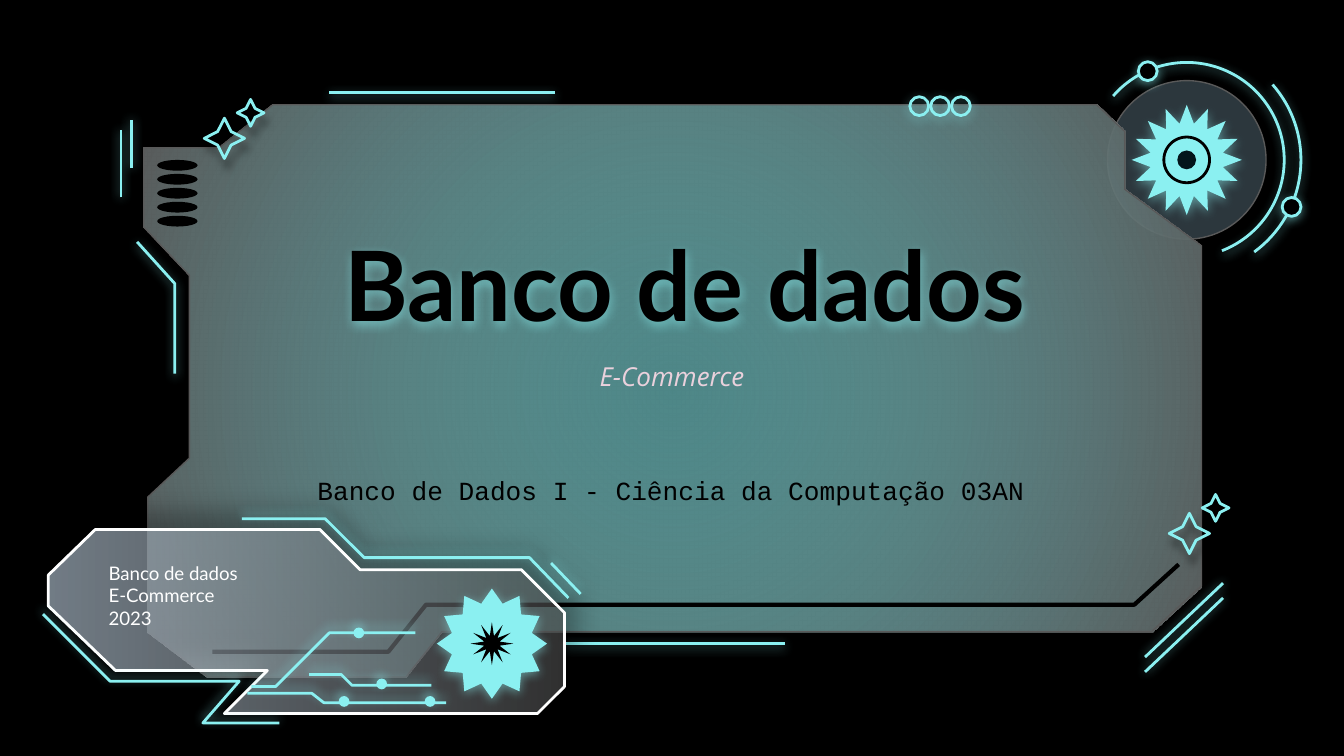
from lxml import etree
from pptx import Presentation
from pptx import util as u
from pptx.dml.color import RGBColor
from pptx.enum import shapes, text
from pptx.oxml.ns import qn


class Theme:
    """Colours, type sizes, line widths and shadows."""
    cyan, black, white = "8BF0F1", "000000", "FFFFFF"
    grey, slate, ink = "595959", "536672", "03151B"
    ice, pink = "CFE2F3", "EAD1DC"
    title, body, small = 52, 14, 10
    thin, normal, thick = 0.75, 1.5, 2.25
    # colour, blur, distance, direction
    glow = (cyan, 5.6, 1.5, 90)
    halo = (cyan, 5.6, 0, 0)
    lift = (cyan, 5.6, 2.2, 256)
    drop = (black, 4.5, 5.2, 71)
    deep = (black, 13.5, 9.8, 299)


T = Theme
M = shapes.MSO_SHAPE

# Outlines, in inches
PANEL = [(1.1, 4.7), (1.1, 3.7), (1.41, 3.41), (1.41, 2.05), (1.07, 1.69), (1.07, 1.1),
         (1.63, 1.1), (2.03, 0.78), (8.16, 0.78), (8.37, 0.98), (8.37, 1.41),
         (8.94, 1.83), (8.94, 4.36), (8.57, 4.7), (3.29, 4.7), (3.02, 5.04), (1.55, 5.04)]
PANEL_TRACE = [(8.77, 4.2), (8.44, 4.5), (3.17, 4.5), (2.89, 4.85), (1.58, 4.85)]
SIDE_TRACE = [(1.02, 1.8), (1.3, 2.11), (1.3, 2.78)]
BADGE = [(0.36, 4.51), (0.36, 4.28), (0.71, 3.94), (2.38, 3.94), (2.68, 4.24),
         (3.88, 4.24), (4.2, 4.56), (4.2, 5.11), (4, 5.31), (1.67, 5.31),
         (1.99, 4.99), (0.86, 4.99)]
BADGE_EDGES = [
    [(0.32, 4.57), (0.82, 5.07), (1.78, 5.07), (1.51, 5.38), (2.08, 5.38)],
    [(1.8, 3.86), (2.42, 3.86), (2.71, 4.15), (3.94, 4.15), (4.23, 4.45)],
    [(4.32, 4.42), (4.1, 4.19)],
]
CIRCUITS = [
    [(1.84, 5.16), (2.32, 5.16), (2.41, 5.23), (3.32, 5.23)],
    [(2.3, 5.02), (2.54, 5.02), (2.62, 5.1), (3.21, 5.1)],
    [(1.87, 5.11), (2.05, 5.11), (2.45, 4.71), (3.09, 4.71)],
]
NODES = [(2.84, 5.09), (2.56, 5.22), (3.2, 5.22), (2.67, 4.71)]
SPARKLES = [(1.67, 1.03), (8.85, 3.97)]
# start, end, shadow
LEFT_LINES = [((0.98, 1.25), (0.98, 0.89), T.halo), ((0.9, 1.47), (0.9, 0.97), T.halo)]
OTHER_LINES = [((2.45, 0.69), (4.13, 0.69), T.glow),
               ((9.1, 4.34), (8.52, 4.89), T.halo), ((9.1, 4.45), (8.52, 5), T.halo),
               ((4.2, 4.79), (5.84, 4.79), T.glow)]
DIAL = (8.83, 1.19)
GEAR = (3.66, 4.79)


def inch(value):
    """Turn inches into a Cm length."""
    return u.Cm(value * 2.54)


def add_alpha(color, percent):
    """Make a colour element partly transparent."""
    etree.SubElement(color, qn("a:alpha")).set("val", str(percent * 1000))


def set_shadow(s, shadow):
    """Give a shape one outer shadow, or none at all."""
    effects = etree.SubElement(s._element.spPr, qn("a:effectLst"))
    if shadow:
        color, blur, dist, angle = shadow
        outer = etree.SubElement(effects, qn("a:outerShdw"), blurRad=str(u.Pt(blur)),
                                 dist=str(u.Pt(dist)), dir=str(angle * 60000),
                                 algn="bl", rotWithShape="0")
        add_alpha(etree.SubElement(outer, qn("a:srgbClr"), val=color), 50)


def set_gradient(s, stops, radial):
    """Fill with two (colour, opacity) stops, left to right or from the centre."""
    s.fill.gradient()
    grad = s._element.spPr.find(qn("a:gradFill"))
    for stop, (color, alpha) in zip(s.fill.gradient_stops, stops):
        stop.color.rgb = RGBColor.from_string(color)
    for node, (color, alpha) in zip(grad.iter(qn("a:srgbClr")), stops):
        add_alpha(node, alpha)
    lin = grad.find(qn("a:lin"))
    lin.set("ang", "0")
    if radial:
        way = etree.Element(qn("a:path"), path="circle")
        etree.SubElement(way, qn("a:fillToRect"), l="50000", t="50000", r="50000", b="50000")
        grad.replace(lin, way)


def style(s, fill=None, alpha=None, grad=None, radial=False, line=None, width=T.normal,
          shadow=None):
    """Set fill, outline and shadow of a shape."""
    if grad:
        set_gradient(s, grad, radial)
    elif fill:
        s.fill.solid()
        s.fill.fore_color.rgb = RGBColor.from_string(fill)
        if alpha:
            add_alpha(s._element.spPr.find(qn("a:solidFill"))[0], alpha)
    else:
        s.fill.background()
    if line:
        s.line.color.rgb = RGBColor.from_string(line)
        s.line.width = u.Pt(width)
    else:
        s.line.fill.background()
    set_shadow(s, shadow)


def preset(kind, center, w, h=None, adj=(), **look):
    """Add a preset shape around its centre."""
    h = h or w
    s = slide.shapes.add_shape(kind, inch(center[0] - w / 2), inch(center[1] - h / 2),
                               inch(w), inch(h))
    for i, value in enumerate(adj):
        s.adjustments[i] = value
    style(s, **look)


def outline(points, close=False, **look):
    """Add a freeform through the points."""
    pts = [(inch(x), inch(y)) for x, y in points]
    builder = slide.shapes.build_freeform(*pts[0])
    builder.add_line_segments(pts[1:], close=close)
    style(builder.convert_to_shape(), **look)


def neon(start, end, shadow):
    """Add a straight glowing line."""
    s = slide.shapes.add_connector(shapes.MSO_CONNECTOR.STRAIGHT,
                                   *[inch(v) for v in (*start, *end)])
    s.line.color.rgb = RGBColor.from_string(T.cyan)
    s.line.width = u.Pt(T.normal)
    set_shadow(s, shadow)


def write(lines, box, size, font, color, bold=False, italic=False, center=True,
          spacing=None, inset=0.1, shadow=None):
    """Add a text box with one paragraph per line."""
    s = slide.shapes.add_textbox(*[inch(v) for v in box])
    tf = s.text_frame
    tf.word_wrap = True
    tf.margin_top = tf.margin_bottom = inch(inset)
    tf.margin_left = tf.margin_right = inch(0.1)
    for i, line in enumerate(lines):
        p = tf.paragraphs[0] if i == 0 else tf.add_paragraph()
        p.alignment = text.PP_ALIGN.CENTER if center else text.PP_ALIGN.LEFT
        p.line_spacing = spacing
        r = p.add_run()
        r.text = line
        r.font.size, r.font.name, r.font.bold, r.font.italic = u.Pt(size), font, bold, italic
        r.font.color.rgb = RGBColor.from_string(color)
    if shadow:
        set_shadow(s, shadow)


prs = Presentation()
prs.slide_width, prs.slide_height = u.Cm(25.4), u.Cm(14.29)
slide = prs.slides.add_slide(prs.slide_layouts[6])
slide.background.fill.solid()
slide.background.fill.fore_color.rgb = RGBColor.from_string(T.black)

neon_line = dict(line=T.cyan, shadow=T.glow)

# Dial
preset(M.ARC, DIAL, 1.7, adj=(191.25, 32.26), **neon_line)
preset(M.OVAL, DIAL, 1.18, fill=T.slate, alpha=54, line=T.grey, width=T.thin)
preset(M.ARC, DIAL, 1.45, adj=(132.56, 41.29), **neon_line)
preset(M.STAR_16_POINT, DIAL, 0.82, adj=(0.334,), fill=T.cyan, shadow=T.glow)
preset(M.OVAL, DIAL, 0.14, fill=T.ink)
preset(M.OVAL, DIAL, 0.34, line=T.black)
for moon in [(8.54, 0.53), (9.61, 1.54)]:
    preset(M.OVAL, moon, 0.14, fill=T.black, **neon_line)

# Main panel
outline(PANEL, close=True, grad=[(T.cyan, 56), (T.grey, 100)], radial=True,
        line=T.grey, width=T.thin)
outline(PANEL_TRACE, line=T.black, width=T.thick)
for i in range(5):
    preset(M.OVAL, (1.32, 1.23 + i * 0.104), 0.3, 0.08, fill=T.black)
outline(SIDE_TRACE, **neon_line)
for x, y in SPARKLES:
    for center, size in [((x, y), 0.3), ((x + 0.195, y - 0.19), 0.2)]:
        preset(M.STAR_4_POINT, center, size, adj=(0.236,), line=T.cyan, shadow=T.drop)
for i in range(3):
    preset(M.OVAL, (6.84 + i * 0.155, 0.79), 0.14, **neon_line)
for start, end, shadow in LEFT_LINES + OTHER_LINES:
    neon(start, end, shadow)

# Badge
outline(BADGE, close=True, grad=[(T.ice, 54), (T.grey, 54)], line=T.white, shadow=T.deep)
preset(M.STAR_12_POINT, GEAR, 0.82, adj=(0.375,), fill=T.cyan, shadow=T.glow)
preset(M.STAR_12_POINT, GEAR, 0.32, adj=(0.184,), fill=T.black)
for points in BADGE_EDGES + CIRCUITS:
    outline(points, line=T.cyan, shadow=T.lift)
for node in NODES:
    preset(M.OVAL, node, 0.08, fill=T.cyan, shadow=T.lift)

write(["Banco de dados"], (1.38, 1.74, 7.43, 1.45), T.title, "Lato", T.black,
      bold=True, spacing=0.8, shadow=T.glow)
write(["Banco de Dados I - Ciência da Computação 03AN"], (1.88, 3.43, 6.23, 0.5),
      T.body, "Courier New", T.black)
write(["E-Commerce"], (3.19, 2.63, 3.62, 0.37), T.body, "Open Sans", T.pink,
      italic=True, inset=0.05)
write(["Banco de dados", "E-Commerce", "2023"], (0.71, 4.08, 1.64, 0.58),
      T.small, "Lato", T.white, center=False)

prs.save("out.pptx")
